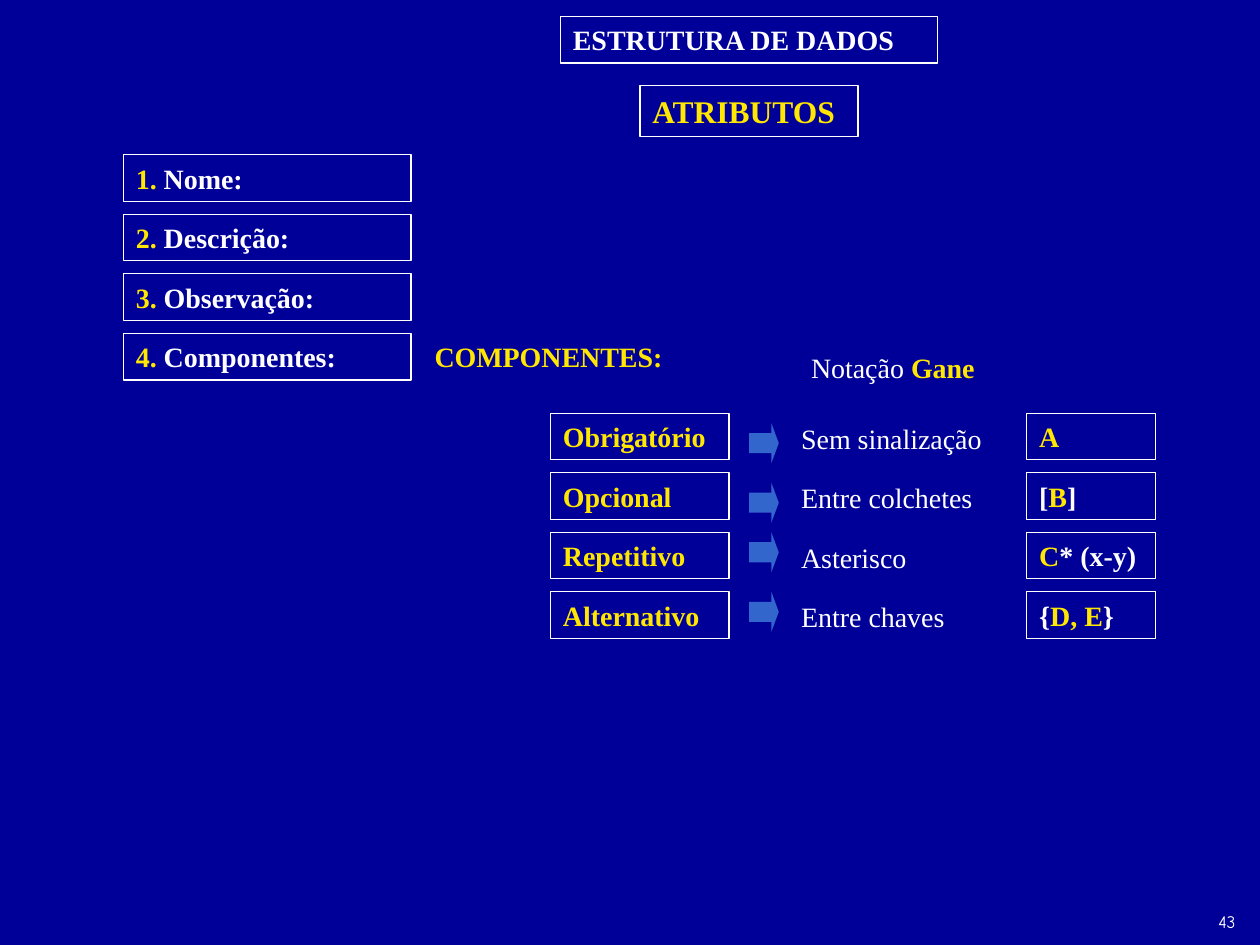
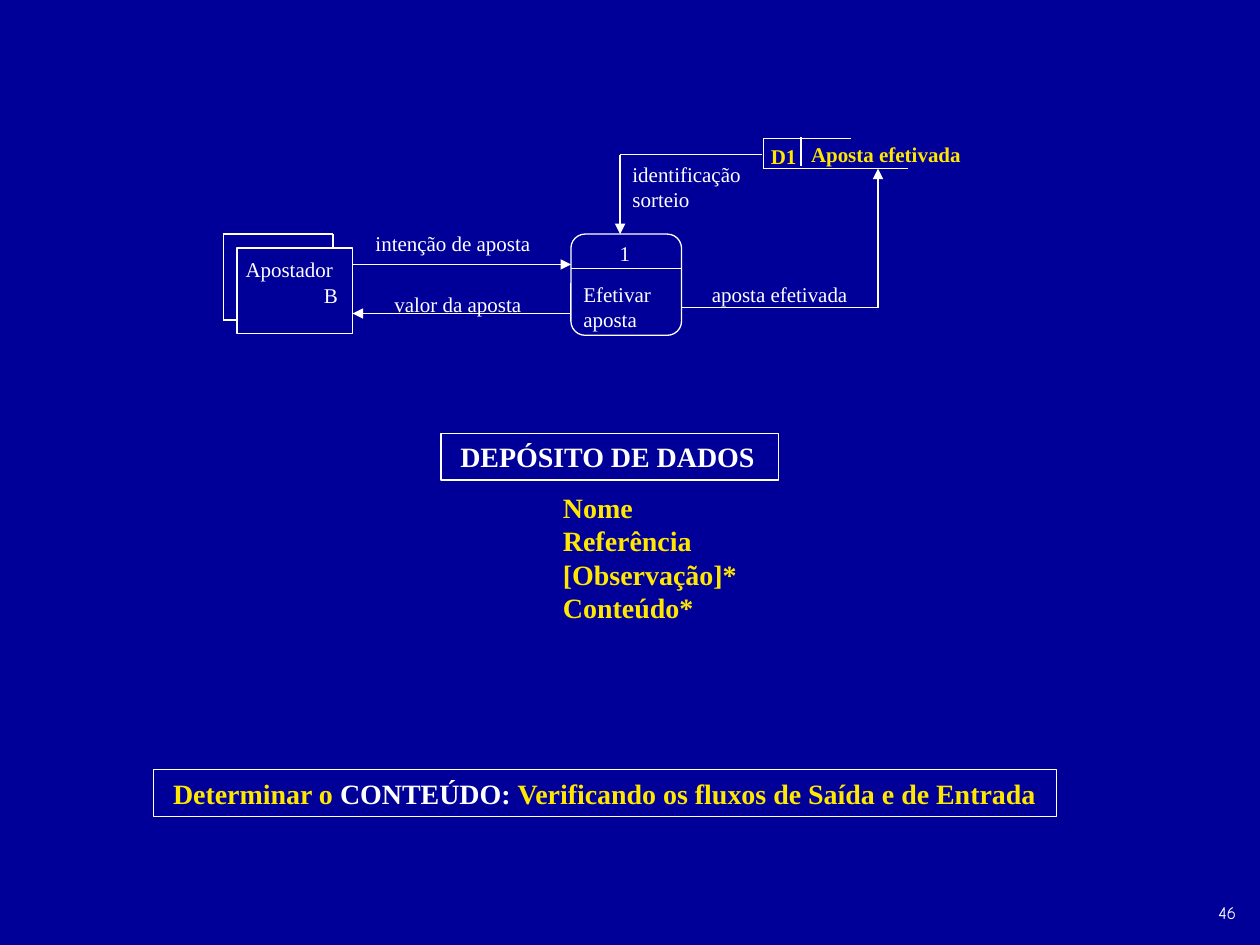
"""Builds two slides on data dictionaries: structure attributes and data stores."""
import dataclasses

import lxml.etree
import pptx
import pptx.dml.color
import pptx.enum.shapes
import pptx.enum.text
import pptx.oxml.ns
import pptx.util

Cm = pptx.util.Cm
Shapes = pptx.enum.shapes.MSO_SHAPE
Align = pptx.enum.text.PP_ALIGN


@dataclasses.dataclass(frozen=True)
class Theme:
    background: str = "000099"
    white: str = "FFFFFF"
    yellow: str = "FFE701"
    arrow: str = "3366CC"
    font: str = "Times New Roman"
    number_font: str = "Comic Neue"
    heading: int = 18
    body: int = 16
    diagram: int = 12
    number: int = 10
    line: float = 0.75
    row_height: float = 0.94
    row_pitch: float = 1.2


THEME = Theme()


def rgb(value):
    return pptx.dml.color.RGBColor.from_string(value)


def write(paragraph, text, *, size=THEME.body, color=THEME.white, bold=False, font=THEME.font):
    run = paragraph.add_run()
    run.text = text
    run.font.size = pptx.util.Pt(size)
    run.font.color.rgb = rgb(color)
    run.font.bold = bold
    run.font.name = font


class Deck:
    def __init__(self, theme):
        self.theme = theme
        self.slide = None
        self.presentation = pptx.Presentation()
        self.presentation.slide_width = Cm(25.4)
        self.presentation.slide_height = Cm(19.05)
        fill = self.presentation.slide_master.background.fill
        fill.solid()
        fill.fore_color.rgb = rgb(theme.background)

    def new_slide(self, number, number_top):
        self.slide = self.presentation.slides.add_slide(self.presentation.slide_layouts[6])
        self.label(number, 24.31, number_top, 1, 0.68,
                   size=self.theme.number, font=self.theme.number_font)

    def fill_text(self, shape, content, align=Align.LEFT, indent=0, **style):
        """Writes a string, or (text, colour, bold) runs, with one paragraph per line."""
        frame = shape.text_frame
        frame.word_wrap = True
        frame.auto_size = pptx.enum.text.MSO_AUTO_SIZE.NONE
        frame.vertical_anchor = pptx.enum.text.MSO_ANCHOR.TOP
        frame.margin_left = Cm(0.25 + indent)
        frame.margin_right = Cm(0.25)
        frame.margin_top = frame.margin_bottom = Cm(0.13)
        if isinstance(content, str):
            lines = [[(line, style)] for line in content.split("\n")]
        else:
            lines = [[(text, {**style, "color": color, "bold": bold})
                      for text, color, bold in content]]
        for index, runs in enumerate(lines):
            paragraph = frame.add_paragraph() if index else frame.paragraphs[0]
            paragraph.alignment = align
            for text, run_style in runs:
                write(paragraph, text, **run_style)

    def label(self, content, left, top, width, height=THEME.row_height, **style):
        shape = self.slide.shapes.add_textbox(Cm(left), Cm(top), Cm(width), Cm(height))
        self.fill_text(shape, content, **style)

    def outline(self, left, top, width, height, kind=Shapes.RECTANGLE):
        shape = self.slide.shapes.add_shape(kind, Cm(left), Cm(top), Cm(width), Cm(height))
        shape.shadow.inherit = False
        shape.fill.background()
        shape.line.color.rgb = rgb(self.theme.white)
        shape.line.width = pptx.util.Pt(self.theme.line)
        return shape

    def box(self, content, left, top, width, height=THEME.row_height, **style):
        shape = self.outline(left, top, width, height)
        self.fill_text(shape, content, **{"bold": True, **style})

    def block_arrow(self, left, top):
        shape = self.outline(left, top, 0.6, 0.81, Shapes.RIGHT_ARROW)
        shape.adjustments[0], shape.adjustments[1] = 0.5, 0.25
        shape.fill.solid()
        shape.fill.fore_color.rgb = rgb(self.theme.arrow)
        shape.line.fill.background()

    def route(self, *points, arrow=False):
        """Joins the points with straight lines, with an arrowhead on the last if asked."""
        for start, end in zip(points, points[1:]):
            connector = self.slide.shapes.add_connector(
                pptx.enum.shapes.MSO_CONNECTOR.STRAIGHT, *map(Cm, start + end))
            connector.line.color.rgb = rgb(self.theme.white)
            connector.line.width = pptx.util.Pt(self.theme.line)
            properties = connector._element.spPr
            lxml.etree.SubElement(properties, pptx.oxml.ns.qn("a:effectLst"))
        if arrow:
            line = properties.find(pptx.oxml.ns.qn("a:ln"))
            lxml.etree.SubElement(line, pptx.oxml.ns.qn("a:tailEnd"), type="triangle")


def build_attributes(deck):
    white, yellow = deck.theme.white, deck.theme.yellow
    pitch = deck.theme.row_pitch
    deck.new_slide("43", 18.24)
    deck.box("ESTRUTURA DE DADOS", 11.3, 0.33, 7.6)
    deck.box("ATRIBUTOS", 12.9, 1.73, 4.4, 1.02, size=deck.theme.heading, color=yellow)

    for index, name in enumerate(["Nome", "Descrição", "Observação", "Componentes"]):
        runs = [(f"{index + 1}.", yellow, True), (f" {name}:", white, True)]
        deck.box(runs, 2.49, 3.12 + index * pitch, 5.8)

    deck.label("COMPONENTES:", 8.51, 6.72, 5.4, color=yellow, bold=True)
    deck.label([("Notação ", white, False), ("Gane", yellow, True)], 16.1, 6.93, 4)

    components = [
        ("Obrigatório", "Sem sinalização", [("A", yellow, True)], 0.2),
        ("Opcional", "Entre colchetes",
         [("[", white, True), ("B", yellow, True), ("]", white, True)], 0.2),
        ("Repetitivo", "Asterisco", [("C", yellow, True), ("* (x-y)", white, True)], 0),
        ("Alternativo", "Entre chaves",
         [("{", white, True), ("D, E", yellow, True), ("}", white, True)], 0),
    ]
    for index, (name, notation, example, arrow_drop) in enumerate(components):
        top = 8.33 + index * pitch
        deck.box(name, 11.1, top, 3.6, color=yellow)
        deck.block_arrow(15.1, top + arrow_drop)
        deck.label(notation, 15.9, top + 0.03, 4.4)
        deck.box(example, 20.7, top, 2.6)


def build_data_store(deck):
    white, yellow = deck.theme.white, deck.theme.yellow
    small = {"size": deck.theme.diagram}
    store_style = {**small, "color": yellow, "bold": True}
    deck.new_slide("46", 18.06)

    deck.outline(4.78, 5, 2.33, 1.73)
    deck.route((6.71, 5), (6.71, 4.72), (4.5, 4.72), (4.5, 6.45), (4.78, 6.45))
    deck.label("Apostador", 4.7, 5.05, 2.4, 0.76, **small)
    deck.label("B", 4.7, 5.56, 2.36, 0.76, align=Align.RIGHT, **small)

    process = deck.outline(11.51, 4.72, 2.23, 2.04, Shapes.ROUNDED_RECTANGLE)
    process.adjustments[0] = 0.14
    deck.route((11.51, 5.41), (13.74, 5.41))
    deck.label("1", 12.24, 4.72, 1.07, 0.76, **small)
    deck.label("Efetivar aposta", 11.51, 5.54, 2.29, 1.27, **small)

    deck.route((18.31, 3.4), (15.39, 3.4), (15.39, 2.79), (17.15, 2.79))
    deck.route((16.15, 2.77), (16.15, 3.35))
    deck.label("D1", 15.29, 2.77, 1.24, 0.76, **store_style)
    deck.label("Aposta efetivada", 16.1, 2.72, 4, 0.76, **store_style)

    deck.route((7.11, 5.33), (11.51, 5.33), arrow=True)
    deck.label("intenção de aposta", 7.32, 4.52, 4.2, 0.76, **small)
    deck.route((11.51, 6.32), (7.11, 6.32), arrow=True)
    deck.label("valor da aposta", 7.7, 5.74, 4.2, 0.76, **small)
    deck.route((15.37, 3.12), (12.5, 3.12), (12.5, 4.72), arrow=True)
    deck.label("identificação sorteio", 12.5, 3.12, 3.2, 1.27, **small)
    deck.route((13.74, 6.2), (17.7, 6.2), (17.7, 3.4), arrow=True)
    deck.label("aposta efetivada", 14.1, 5.54, 3.6, 0.76, **small)

    deck.box("DEPÓSITO DE DADOS", 8.89, 8.74, 6.81, indent=0.14)
    deck.label("Nome\nReferência\n[Observação]*\nConteúdo*", 11.1, 9.75, 5.8, 2.97,
               color=yellow, bold=True)
    deck.box([("Determinar o", yellow, True), (" CONTEÚDO: ", white, True),
              ("Verificando os fluxos de Saída e de Entrada", yellow, True)],
             3.1, 15.52, 18.2, indent=0.14)


deck = Deck(THEME)
build_attributes(deck)
build_data_store(deck)
deck.presentation.save("out.pptx")
